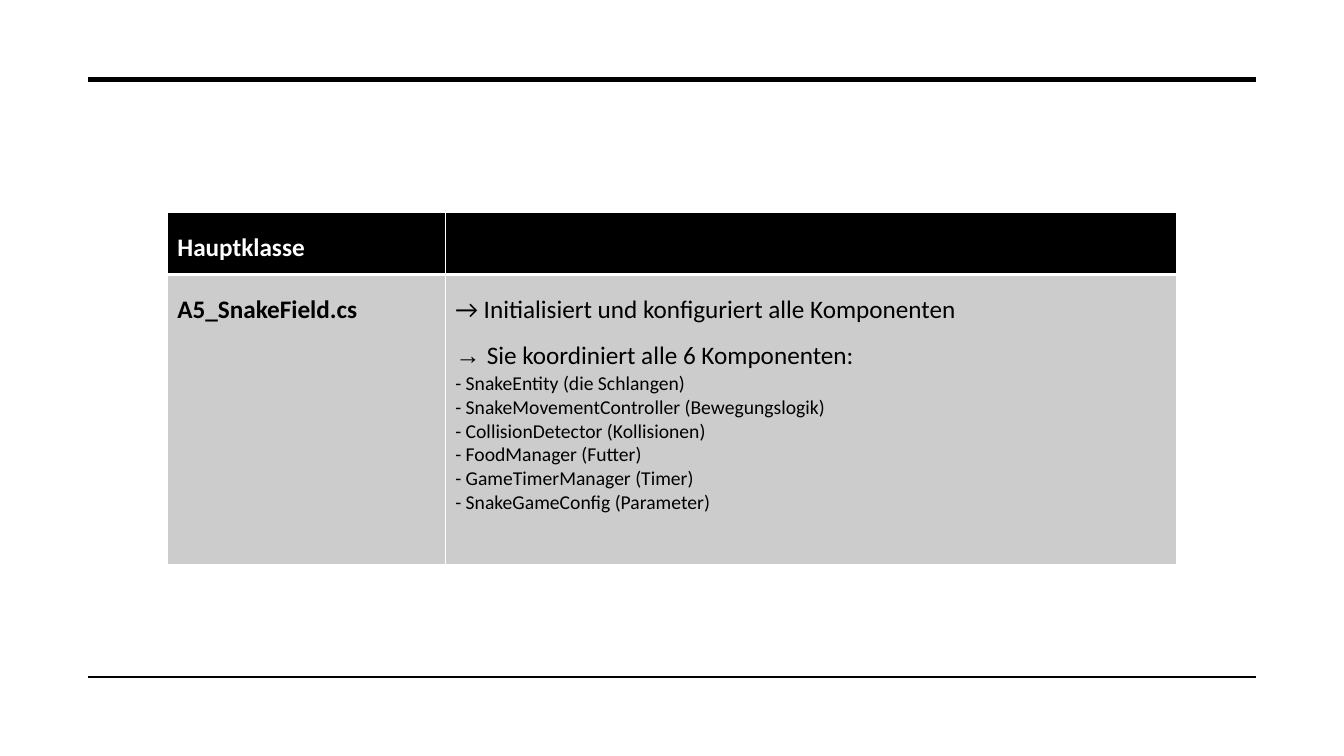
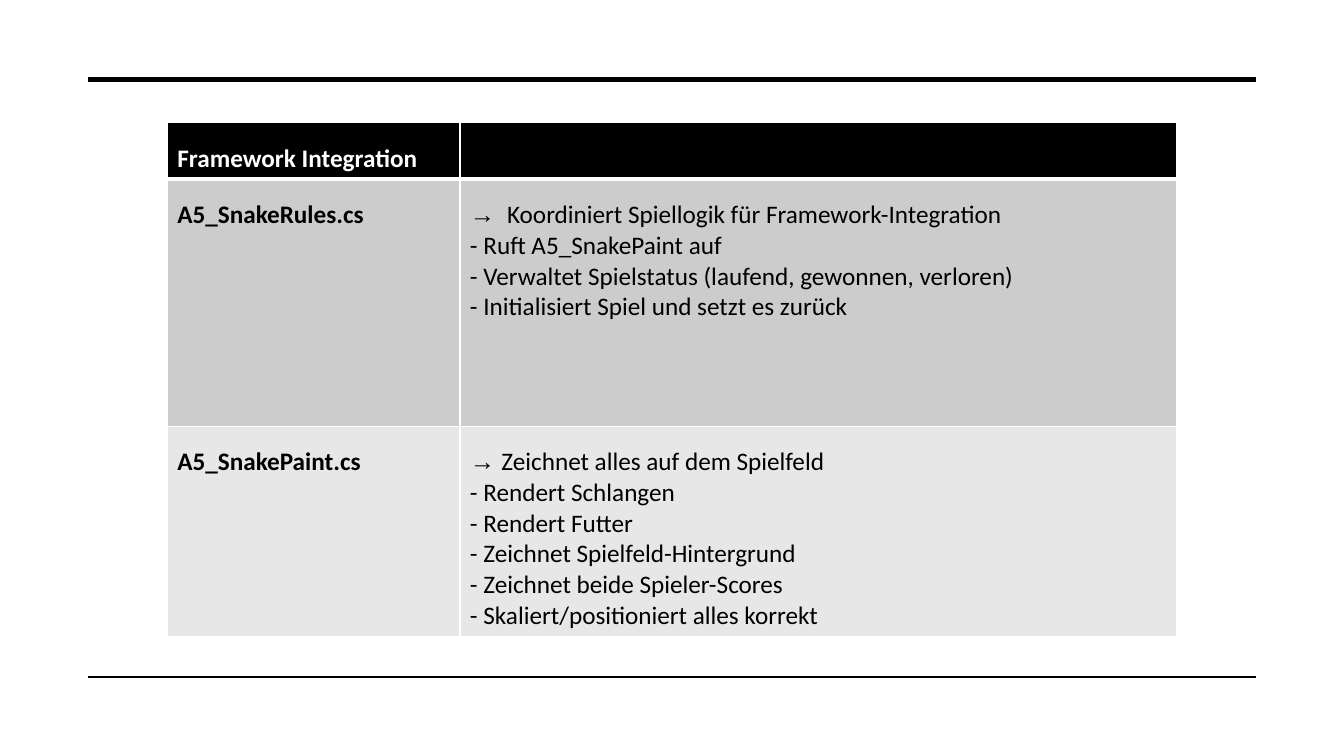
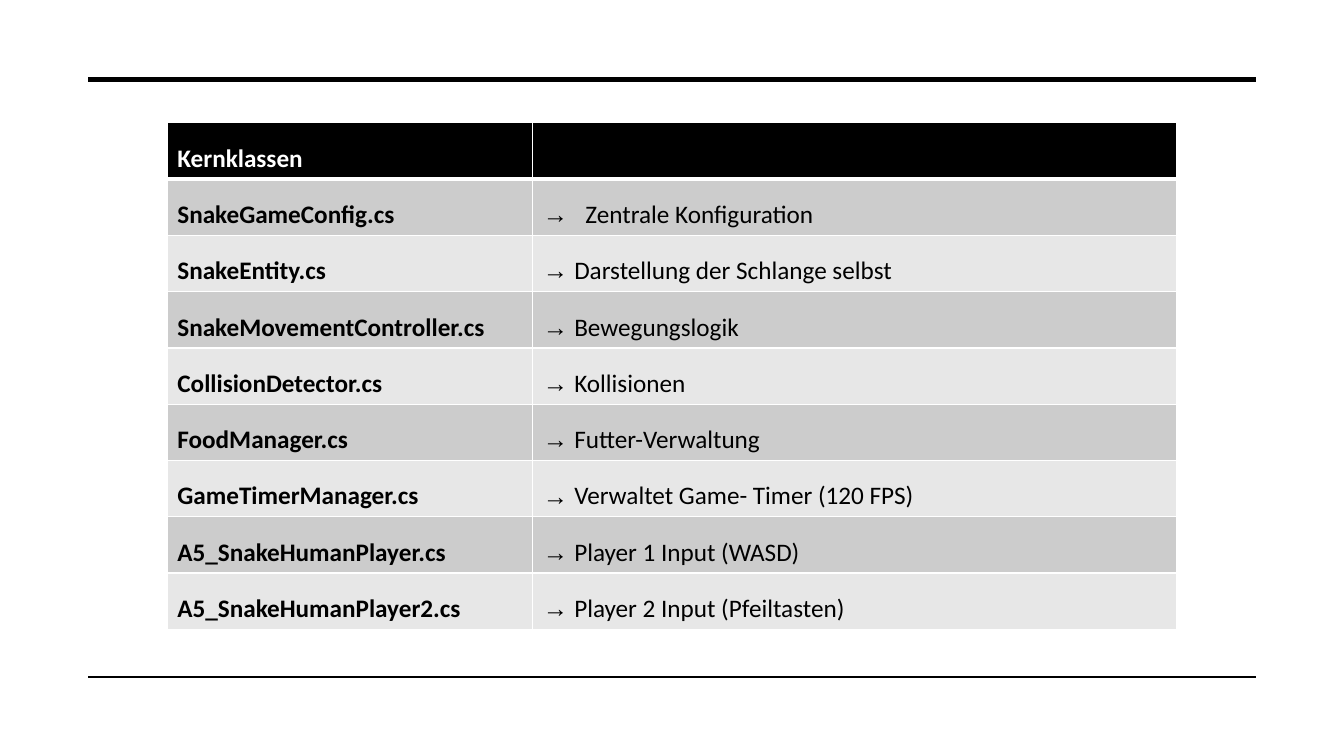
from pptx import Presentation
from pptx.dml.color import RGBColor
from pptx.enum.shapes import MSO_CONNECTOR
from pptx.oxml import parse_xml
from pptx.oxml.ns import nsdecls
from pptx.oxml.xmlchemy import OxmlElement as new_element
from pptx.util import Pt

BLACK = RGBColor(0x00, 0x00, 0x00)
WHITE = RGBColor(0xFF, 0xFF, 0xFF)
DARK_BAND = RGBColor(0xCC, 0xCC, 0xCC)
LIGHT_BAND = RGBColor(0xE7, 0xE7, 0xE7)
FONT = "Calibri"
HANGING = 22.5
HEADER_HEIGHT = 40.2


def write(para, text, *, size=18, bold=False, color=BLACK, spacing=1.0, hanging=0):
    """Put formatted text into a paragraph, with an arrow bullet if it hangs."""
    para.line_spacing = spacing
    span = para.add_run()
    span.text = text
    span.font.name = FONT
    span.font.size = Pt(size)
    span.font.bold = bold
    span.font.color.rgb = color
    if hanging:
        props = para._p.get_or_add_pPr()
        props.set("marL", str(Pt(hanging)))
        props.set("indent", str(-Pt(hanging)))
        for tag, name, value in (("a:buFont", "typeface", "Arial"), ("a:buChar", "char", "→")):
            mark = new_element(tag)
            mark.set(name, value)
            props.append(mark)


class ClassDeck:
    """Hold the deck style and the current page."""

    left, width = 119.5, 721
    rule_left, rule_right = 63, 897

    def __init__(self):
        """Start an empty wide deck."""
        self.deck = Presentation()
        self.deck.slide_width, self.deck.slide_height = Pt(960), Pt(540)
        self.page = None

    def add_page(self):
        """Add a page with its two rules."""
        self.page = self.deck.slides.add_slide(self.deck.slide_layouts[6])
        self.add_rule(56.8, 3.5)
        self.add_rule(483.6, 1)

    def add_rule(self, top, weight):
        """Draw a horizontal black rule across the page."""
        rule = self.page.shapes.add_connector(
            MSO_CONNECTOR.STRAIGHT,
            Pt(self.rule_left), Pt(top), Pt(self.rule_right), Pt(top))
        rule.line.color.rgb = BLACK
        rule.line.width = Pt(weight)
        rule.element.spPr.append(new_element("a:effectLst"))

    def style_cell(self, cell, fill, top=1, bottom=1):
        """Give a cell white borders and a fill."""
        props = cell._tc.get_or_add_tcPr()
        for side, weight in (("L", 1), ("R", 1), ("T", top), ("B", bottom)):
            props.append(parse_xml(
                f'<a:ln{side} {nsdecls("a")} w="{Pt(weight)}"><a:solidFill>'
                f'<a:srgbClr val="{WHITE}"/></a:solidFill></a:ln{side}>'))
        cell.fill.solid()
        cell.fill.fore_color.rgb = fill

    def add_table(self, heading, rows, *, top, name_width, heights, detail_size=18):
        """Add a table of class names, arrow points and dashed details."""
        frame = self.page.shapes.add_table(
            len(heights), 2, Pt(self.left), Pt(top), Pt(self.width), Pt(sum(heights)))
        table = frame.table
        table.horz_banding = False
        for column, width in zip(table.columns, (name_width, self.width - name_width)):
            column.width = Pt(width)
        for row, height in zip(table.rows, heights):
            row.height = Pt(height)

        for column in range(2):
            self.style_cell(table.cell(0, column), BLACK, bottom=3)
        write(table.cell(0, 0).text_frame.paragraphs[0], heading,
              bold=True, color=WHITE, spacing=1.5)

        for index, (name, points, details, hanging) in enumerate(rows, 1):
            name_cell, text_cell = table.cell(index, 0), table.cell(index, 1)
            for cell in (name_cell, text_cell):
                self.style_cell(cell, DARK_BAND if index % 2 else LIGHT_BAND,
                                top=3 if index == 1 else 1)
            write(name_cell.text_frame.paragraphs[0], name, bold=True, spacing=1.5)
            body = text_cell.text_frame
            for number, point in enumerate(points):
                para = body.add_paragraph() if number else body.paragraphs[0]
                write(para, point, spacing=1.5,
                      hanging=0 if point.startswith("→") else hanging)
            for detail in details:
                write(body.add_paragraph(), f"- {detail}", size=detail_size)


MAIN_CLASS = [
    ("A5_SnakeField.cs",
     ["→ Initialisiert und konfiguriert alle Komponenten",
      "Sie koordiniert alle 6 Komponenten:"],
     ["SnakeEntity (die Schlangen)",
      "SnakeMovementController (Bewegungslogik)",
      "CollisionDetector (Kollisionen)",
      "FoodManager (Futter)",
      "GameTimerManager (Timer)",
      "SnakeGameConfig (Parameter)"], HANGING),
]

FRAMEWORK = [
    ("A5_SnakeRules.cs",
     ["Koordiniert Spiellogik für Framework-Integration"],
     ["Ruft A5_SnakePaint auf",
      "Verwaltet Spielstatus (laufend, gewonnen, verloren)",
      "Initialisiert Spiel und setzt es zurück"], HANGING + 4),
    ("A5_SnakePaint.cs",
     ["Zeichnet alles auf dem Spielfeld"],
     ["Rendert Schlangen",
      "Rendert Futter",
      "Zeichnet Spielfeld-Hintergrund",
      "Zeichnet beide Spieler-Scores",
      "Skaliert/positioniert alles korrekt"], HANGING),
]

CORE_CLASSES = [
    ("SnakeGameConfig.cs", ["Zentrale Konfiguration"], [], HANGING + 8),
    ("SnakeEntity.cs", ["Darstellung der Schlange selbst"], [], HANGING),
    ("SnakeMovementController.cs", ["Bewegungslogik"], [], HANGING),
    ("CollisionDetector.cs", ["Kollisionen"], [], HANGING),
    ("FoodManager.cs", ["Futter-Verwaltung"], [], HANGING),
    ("GameTimerManager.cs", ["Verwaltet Game- Timer (120 FPS)"], [], HANGING),
    ("A5_SnakeHumanPlayer.cs", ["Player 1 Input (WASD)"], [], HANGING),
    ("A5_SnakeHumanPlayer2.cs", ["Player 2 Input (Pfeiltasten)"], [], HANGING),
]


def main():
    """Build and save the three pages."""
    slides = ClassDeck()
    slides.add_page()
    slides.add_table("Hauptklasse", MAIN_CLASS, top=151.5, name_width=198.5,
                     heights=[44.5, 207], detail_size=14)
    slides.add_page()
    slides.add_table("Framework Integration", FRAMEWORK, top=87.8, name_width=209,
                     heights=[HEADER_HEIGHT, 176.4, 150])
    slides.add_page()
    slides.add_table("Kernklassen", CORE_CLASSES, top=87.8, name_width=261,
                     heights=[HEADER_HEIGHT] * (len(CORE_CLASSES) + 1))
    slides.deck.save("out.pptx")


if __name__ == "__main__":
    main()
